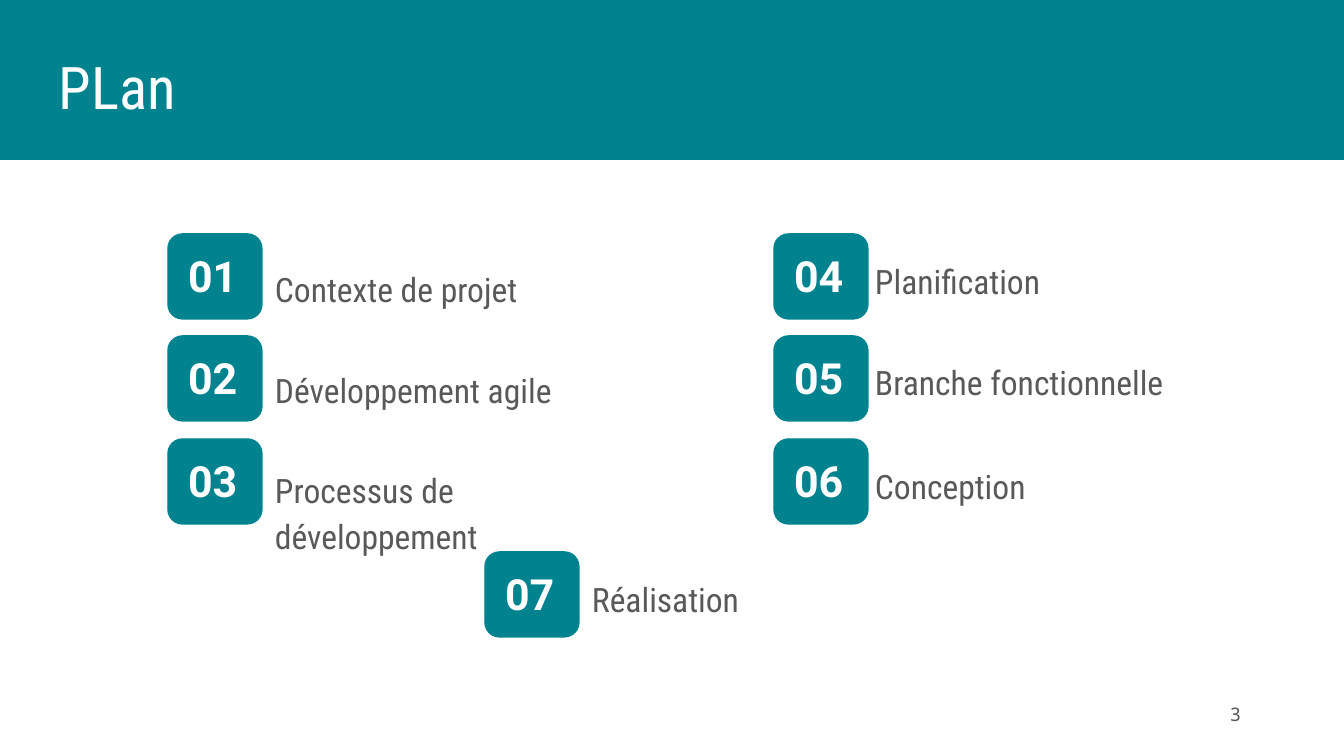
from pptx import Presentation
from pptx.dml.color import RGBColor
from pptx.enum.shapes import MSO_SHAPE
from pptx.enum.text import MSO_ANCHOR, MSO_AUTO_SIZE, PP_ALIGN
from pptx.util import Pt

PX = 914400 / 134.4
TEAL, WHITE, GREY = "00838F", "FFFFFF", "595959"
BADGE_WIDTH, BADGE_HEIGHT = 94, 85
COLUMNS = (168, 774)
ROWS = (234, 336, 439)

presentation = Presentation()
presentation.slide_width = round(1344 * PX)
presentation.slide_height = round(756 * PX)
slide = presentation.slides.add_slide(presentation.slide_layouts[5])


def add_block(kind, left, top, width, height):
    """Add a teal shape of the given preset kind."""
    box = [round(length * PX) for length in (left, top, width, height)]
    shape = slide.shapes.add_shape(kind, *box)
    shape.shadow.inherit = False
    shape.fill.solid()
    shape.fill.fore_color.rgb = RGBColor.from_string(TEAL)
    shape.line.color.rgb = RGBColor.from_string(TEAL)
    shape.line.width = Pt(0.75)
    return shape


def write(text, box, size, font, color, bold=False, anchor=MSO_ANCHOR.TOP, shape=None):
    """Write one run in the given shape, or in a new text box, and return its paragraph."""
    left, top, width, height = [round(length * PX) for length in box]
    if shape is None:
        shape = slide.shapes.add_textbox(left, top, width, height)
    shape.left, shape.top, shape.width, shape.height = left, top, width, height
    frame = shape.text_frame
    frame.word_wrap = True
    frame.auto_size = MSO_AUTO_SIZE.NONE
    frame.vertical_anchor = anchor
    frame.margin_left = frame.margin_right = round(13 * PX)
    frame.margin_top = frame.margin_bottom = round(13 * PX)
    paragraph = frame.paragraphs[0]
    paragraph.alignment = PP_ALIGN.LEFT
    run = paragraph.add_run()
    run.text = text
    run.font.size = Pt(size)
    run.font.name = font
    run.font.bold = bold
    run.font.color.rgb = RGBColor.from_string(color)
    return paragraph


# Header band, placed behind the title
band = add_block(MSO_SHAPE.RECTANGLE, -4, -3, 1348, 162)
slide.shapes._spTree.insert(2, band._element)
write("PLan", (46, 27, 1279, 107), 31.5, "Roboto Condensed", WHITE,
      anchor=MSO_ANCHOR.BOTTOM, shape=slide.shapes.title)

# Badge corner, then label left, top and width
sections = [
    ("Contexte de projet", COLUMNS[0], ROWS[0], 262, 250, 276),
    ("Développement agile", COLUMNS[0], ROWS[1], 262, 351, 313),
    ("Processus de développement", COLUMNS[0], ROWS[2], 262, 451, 408),
    ("Planification", COLUMNS[1], ROWS[0], 862, 242, 441),
    ("Branche fonctionnelle", COLUMNS[1], ROWS[1], 862, 343, 441),
    ("Conception", COLUMNS[1], ROWS[2], 862, 447, 441),
    ("Réalisation", 485, 552, 579, 560, 441),
]
for number, (label, left, top, label_left, label_top, label_width) in enumerate(sections, 1):
    badge = add_block(MSO_SHAPE.ROUNDED_RECTANGLE, left, top, BADGE_WIDTH, BADGE_HEIGHT)
    badge.adjustments[0] = 0.17
    write(f"{number:02}", (left + 7, top + 3, 81, 79), 23, "Roboto", WHITE, bold=True)
    paragraph = write(label, (label_left, label_top, label_width, 67), 18,
                      "Roboto Condensed", GREY)
    paragraph.line_spacing = 1.15
    paragraph.space_after = Pt(12)

page_number = write("3", (1173, 685, 81, 58), 10, "Noto Sans Mono", GREY,
                    anchor=MSO_ANCHOR.MIDDLE)
page_number.alignment = PP_ALIGN.RIGHT

presentation.save("out.pptx")
